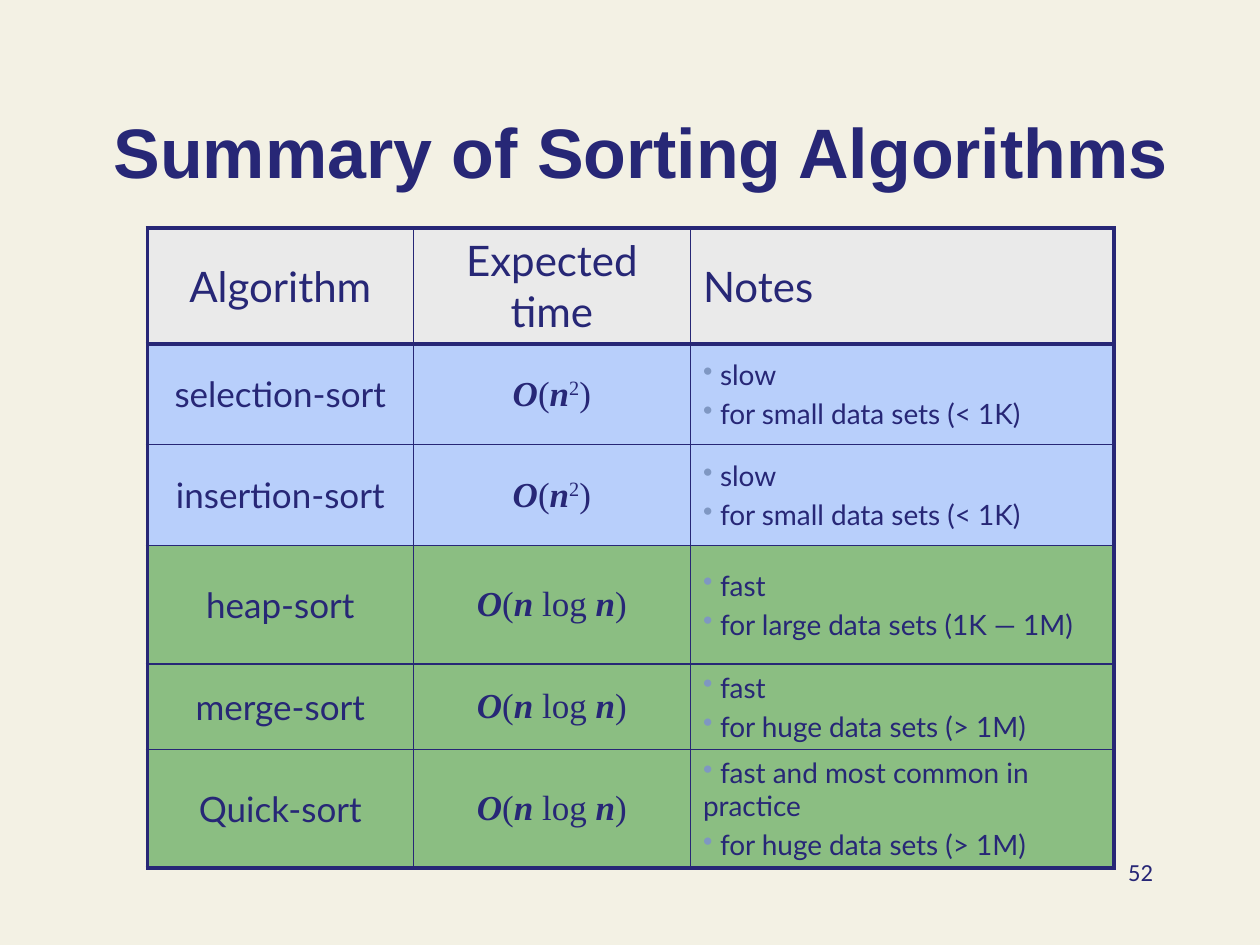
from typing import NamedTuple

from lxml.etree import SubElement
from pptx import Presentation
from pptx.dml.color import RGBColor
from pptx.enum.text import MSO_ANCHOR, PP_ALIGN
from pptx.oxml.ns import qn
from pptx.util import Inches, Pt

NAVY = RGBColor(0x27, 0x27, 0x76)
CREAM = RGBColor(0xF3, 0xF1, 0xE4)
GREY = RGBColor(0xEA, 0xEA, 0xEA)
BLUE = RGBColor(0xB8, 0xCF, 0xFB)
GREEN = RGBColor(0x8B, 0xBE, 0x82)
BULLET = RGBColor(0x7F, 0x97, 0xC2)

HEADINGS = ("Algorithm", "Expected time", "Notes")
COLUMN_WIDTHS = (2.11, 2.2, 3.36)
ROW_HEIGHTS = (0.92, 0.8, 0.8, 0.94, 0.68, 0.94)
THICK, THIN = Pt(2.25), Pt(1)


class Part(NamedTuple):
    """A stretch of a formula; variables are bold italic."""
    text: str
    variable: bool = False
    raised: bool = False


class Algorithm(NamedTuple):
    name: str
    time: tuple[Part, ...]
    notes: tuple[str, ...]
    color: RGBColor


def big_o(*argument: Part) -> tuple[Part, ...]:
    return Part("O", variable=True), Part("("), *argument, Part(")")


N = Part("n", variable=True)
QUADRATIC = big_o(N, Part("2", raised=True))
LINEARITHMIC = big_o(N, Part(" log "), N)
SMALL_DATA = ("slow", "for small data sets (< 1K)")
HUGE_DATA = "for huge data sets (> 1M)"

ALGORITHMS = (
    Algorithm("selection-sort", QUADRATIC, SMALL_DATA, BLUE),
    Algorithm("insertion-sort", QUADRATIC, SMALL_DATA, BLUE),
    Algorithm("heap-sort", LINEARITHMIC, ("fast", "for large data sets (1K — 1M)"), GREEN),
    Algorithm("merge-sort", LINEARITHMIC, ("fast", HUGE_DATA), GREEN),
    Algorithm("Quick-sort", LINEARITHMIC, ("fast and most common in practice", HUGE_DATA), GREEN),
)


def style(paragraph, size: float, face: str, align=PP_ALIGN.CENTER, bold: bool = False) -> None:
    paragraph.alignment = align
    font = paragraph.font
    font.size, font.name, font.bold = Pt(size), face, bold
    font.color.rgb = NAVY


def write_label(cell, text: str, size: float, align=PP_ALIGN.CENTER) -> None:
    paragraph = cell.text_frame.paragraphs[0]
    paragraph.text = text
    style(paragraph, size, "Lato", align)


def write_formula(cell, parts: tuple[Part, ...]) -> None:
    paragraph = cell.text_frame.paragraphs[0]
    style(paragraph, 20, "Times New Roman")
    for part in parts:
        run = paragraph.add_run()
        run.text = part.text
        run.font.bold = run.font.italic = part.variable
        if part.raised:
            run._r.get_or_add_rPr().set("baseline", "30000")


def write_notes(cell, notes: tuple[str, ...]) -> None:
    frame = cell.text_frame
    for index, note in enumerate(notes):
        paragraph = frame.add_paragraph() if index else frame.paragraphs[0]
        paragraph.text = f" {note}"
        style(paragraph, 16, "Lato", PP_ALIGN.LEFT)
        if index:
            paragraph.space_before = Pt(3.2)
        add_bullet(paragraph)


def add_bullet(paragraph) -> None:
    properties = paragraph._p.get_or_add_pPr()
    properties.set("marL", "0")
    properties.set("indent", str(Inches(-0.12)))
    color = SubElement(properties, qn("a:buClr"))
    SubElement(color, qn("a:srgbClr"), val=str(BULLET))
    character = SubElement(properties, qn("a:buChar"), char="•")
    # The schema puts bullets ahead of the default run properties.
    properties.find(qn("a:defRPr")).addprevious(color)
    color.addnext(character)


def finish_cell(cell, row: int, column: int, fill: RGBColor) -> None:
    """Centre the text vertically, draw borders and fill the cell."""
    cell.vertical_anchor = MSO_ANCHOR.MIDDLE
    thick_edges = {
        "L": column == 0,
        "R": column == len(COLUMN_WIDTHS) - 1,
        "T": row <= 1,
        "B": row in (0, len(ROW_HEIGHTS) - 1),
    }
    properties = cell._tc.get_or_add_tcPr()
    for edge, is_thick in thick_edges.items():
        line = SubElement(properties, qn(f"a:ln{edge}"), w=str(THICK if is_thick else THIN))
        SubElement(SubElement(line, qn("a:solidFill")), qn("a:srgbClr"), val=str(NAVY))
    cell.fill.solid()
    cell.fill.fore_color.rgb = fill


def add_summary(slide) -> None:
    table = slide.shapes.add_table(
        len(ROW_HEIGHTS), len(COLUMN_WIDTHS), Inches(1.17), Inches(1.81),
        Inches(sum(COLUMN_WIDTHS)), Inches(sum(ROW_HEIGHTS))).table
    table.first_row = table.horz_banding = False
    for column, width in zip(table.columns, COLUMN_WIDTHS):
        column.width = Inches(width)
    for row, height in zip(table.rows, ROW_HEIGHTS):
        row.height = Inches(height)

    for column, heading in enumerate(HEADINGS):
        align = PP_ALIGN.LEFT if heading == "Notes" else PP_ALIGN.CENTER
        write_label(table.cell(0, column), heading, 24, align)
    for row, algorithm in enumerate(ALGORITHMS, start=1):
        write_label(table.cell(row, 0), algorithm.name, 20)
        write_formula(table.cell(row, 1), algorithm.time)
        write_notes(table.cell(row, 2), algorithm.notes)

    fills = (GREY, *(algorithm.color for algorithm in ALGORITHMS))
    for row, fill in enumerate(fills):
        for column in range(len(COLUMN_WIDTHS)):
            finish_cell(table.cell(row, column), row, column, fill)


def add_title(slide) -> None:
    title = slide.shapes.title
    title.left, title.top = Inches(0.67), Inches(0.33)
    title.width, title.height = Inches(8.83), Inches(1.25)
    title.text_frame.text = "Summary of Sorting Algorithms"
    title.text_frame.vertical_anchor = MSO_ANCHOR.BOTTOM
    style(title.text_frame.paragraphs[0], 40, "Arial", bold=True)


def add_page_number(slide) -> None:
    frame = slide.shapes.add_textbox(
        Inches(7.17), Inches(6.75), Inches(2.08), Inches(0.5)).text_frame
    frame.word_wrap = True
    frame.text = "52"
    style(frame.paragraphs[0], 14, "Calibri", PP_ALIGN.RIGHT)


def main() -> None:
    deck = Presentation()
    deck.slide_width, deck.slide_height = Inches(10), Inches(7.5)
    slide = deck.slides.add_slide(deck.slide_layouts[5])
    slide.background.fill.solid()
    slide.background.fill.fore_color.rgb = CREAM
    add_title(slide)
    add_summary(slide)
    add_page_number(slide)
    deck.save("out.pptx")


if __name__ == "__main__":
    main()
